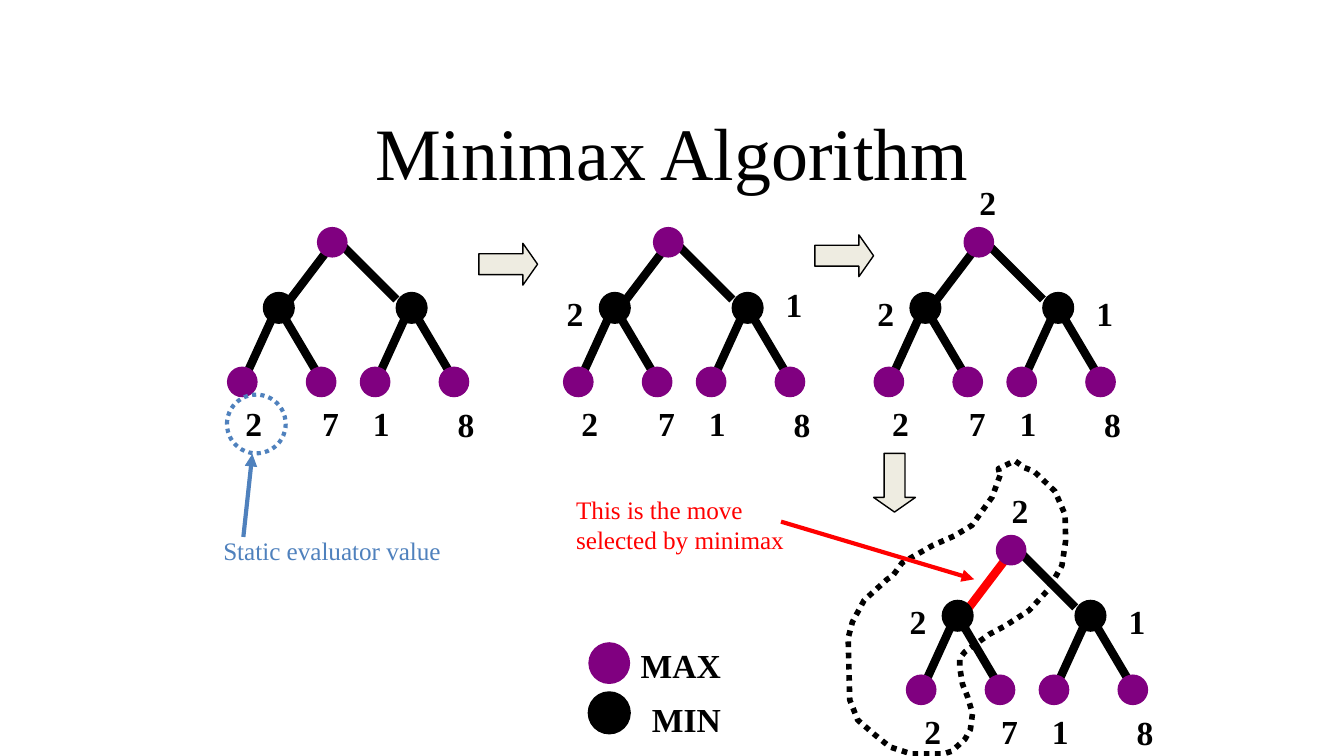
from lxml import etree
from pptx import Presentation, util as u
from pptx.dml.color import RGBColor
from pptx.enum import dml, shapes as s, text as t
from pptx.oxml.ns import qn

BLACK = RGBColor(0x00, 0x00, 0x00)
PURPLE = RGBColor(0x80, 0x00, 0x80)
RED = RGBColor(0xFF, 0x00, 0x00)
BLUE = RGBColor(0x4F, 0x81, 0xBD)
CREAM = RGBColor(0xEE, 0xEC, 0xE1)
FONT = "Times New Roman"
DOT = dml.MSO_LINE.ROUND_DOT
NODE = 0.58
SHIFT = 2.51
LOOP = [
    (2.87, 0.28), (2.72, 0.69), (2.54, 0.94), (2.34, 1.22), (2.01, 1.42),
    (1.6, 1.6), (1.02, 1.93), (0.84, 2.18), (0.74, 2.24), (0.3, 2.64),
    (0.08, 3.05), (0, 3.35), (0.03, 4.52), (0.18, 4.9), (0.48, 5.16),
    (0.79, 5.41), (1.19, 5.54), (1.8, 5.54), (1.96, 5.49), (2.21, 5.26),
    (2.31, 5.08), (2.35, 4.78), (2.26, 4.47), (2.16, 4.22), (2.11, 3.91),
    (2.11, 3.73), (2.21, 3.61), (2.67, 3.28), (2.97, 3.12), (3.42, 2.83),
    (3.78, 2.44), (4.04, 1.98), (4.11, 1.52), (4.1, 1.02), (3.91, 0.58),
    (3.68, 0.36), (3.51, 0.2), (3.33, 0.13), (3.15, 0), (2.84, 0.15),
]


def style(font, size, color, bold=False):
    font.name, font.size, font.bold = FONT, u.Pt(size), bold
    font.color.rgb = color


def write(parts, box, lines, size=18, color=BLACK, bold=True, wrap=False,
          align=t.PP_ALIGN.LEFT):
    frame = parts.add_textbox(*map(u.Cm, box)).text_frame
    frame.word_wrap = wrap
    frame.auto_size = t.MSO_AUTO_SIZE.SHAPE_TO_FIT_TEXT
    frame.text = lines
    for para in frame.paragraphs:
        para.alignment = align
        style(para.font, size, color, bold)


def paint(shape, fill, line=None, width=0.75, dash=None):
    shape.shadow.inherit = False
    if fill is None:
        shape.fill.background()
    else:
        shape.fill.solid()
        shape.fill.fore_color.rgb = fill
    if line is None:
        shape.line.fill.background()
    else:
        shape.line.color.rgb = line
        shape.line.width = u.Pt(width)
        if dash:
            shape.line.dash_style = dash


def disc(parts, left, top, size, fill):
    shape = parts.add_shape(s.MSO_SHAPE.OVAL, *map(u.Cm, (left, top, size, size)))
    paint(shape, fill, BLACK if fill == BLACK else None)


def link(parts, ends, color=BLACK, width=4.5, arrow=False):
    line = parts.add_connector(s.MSO_CONNECTOR.STRAIGHT, *map(u.Cm, ends))
    line.line.color.rgb = color
    line.line.width = u.Pt(width)
    if arrow:
        etree.SubElement(line.line._get_or_add_ln(), qn("a:tailEnd"), type="triangle")
    etree.SubElement(line._element.spPr, qn("a:effectLst"))


def block(slide, left, top, turn=0):
    shape = slide.shapes.add_shape(
        s.MSO_SHAPE.RIGHT_ARROW, *map(u.Cm, (left, top, 1.11, 0.79)))
    shape.adjustments[0], shape.adjustments[1] = 0.5, 0.35
    shape.rotation = turn
    paint(shape, CREAM, BLACK)


def loop(parts, left, top):
    spots = [(u.Cm(left + x), u.Cm(top + y)) for x, y in LOOP]
    pen = parts.build_freeform(*spots[0])
    pen.add_line_segments(spots[1:], close=True)
    paint(pen.convert_to_shape(), None, BLACK, 3, DOT)


def tree(slide, left, top, marks=(), move=BLACK, ring=False):
    parts = slide.shapes.add_group_shape().shapes
    if ring:
        loop(parts, left - 1.09, top - 1.4)

    def edge(x1, y1, x2, y2, color=BLACK):
        link(parts, (left + x1, top + y1, left + x2, top + y2), color)

    edge(1.02, 1.6, 2.06, 0.23, move)
    edge(3.2, 1.37, 2.06, 0.23)
    for dx in (0, SHIFT):
        edge(0.91 + dx, 1.6, 0.33 + dx, 2.87)
        edge(1.02 + dx, 1.6, 1.83 + dx, 2.97)
    disc(parts, left + 1.7, top, NODE, PURPLE)
    for dx in (0, SHIFT):
        disc(parts, left + 0.69 + dx, top + 1.24, NODE, BLACK)
        for x in (0, 1.49):
            disc(parts, left + x + dx, top + 2.64, NODE, PURPLE)

    leaves = [("2", 0.1, 3.2), ("7", 1.55, 3.2), ("1", 2.51, 3.2), ("8", 4.11, 3.22)]
    for mark, x, y in leaves + list(marks):
        write(parts, (left + x, top + y, 0.84, 1.02), mark)


def legend(slide, left, top):
    parts = slide.shapes.add_group_shape().shapes
    rows = [("MAX", PURPLE, 0.08, 0, 0.74, 2.03), ("MIN", BLACK, 1.02, 1.02, 0.95, 1.83)]
    for name, color, dot, row, dx, wide in rows:
        disc(parts, left, top + dot, 0.79, color)
        write(parts, (left + dx, top + row, wide, 1.02), name)


def heading(slide, left, top, wide, high):
    title = slide.shapes.title
    title.left, title.top, title.width, title.height = map(u.Cm, (left, top, wide, high))
    frame = title.text_frame
    frame.text = "Minimax Algorithm"
    frame.vertical_anchor = t.MSO_ANCHOR.MIDDLE
    para = frame.paragraphs[0]
    para.alignment = t.PP_ALIGN.CENTER
    style(para.font, 39.6, BLACK)


def choice(slide, left, top):
    write(slide.shapes, (left, top, 4.5, 1.42),
          "This is the move\nselected by minimax", 13.5, RED, False)
    link(slide.shapes, (left + 4.12, top + 0.64, left + 7.77, top + 1.73), RED, 2.25, True)


def static(slide, left, top):
    ring = slide.shapes.add_shape(
        s.MSO_SHAPE.OVAL, *map(u.Cm, (left + 0.48, top, 1.11, 1.11)))
    paint(ring, None, BLUE, 2.25, DOT)
    write(slide.shapes, (left, top + 2.54, 4.93, 0.84), "Static evaluator value",
          13.5, BLUE, False, True, t.PP_ALIGN.CENTER)
    link(slide.shapes, (left + 0.79, top + 2.69, left + 0.96, top + 1.12), BLUE, 2.25, True)


def main():
    deck = Presentation()
    deck.slide_width, deck.slide_height = u.Cm(25.4), u.Cm(14.29)
    slide = deck.slides.add_slide(deck.slide_layouts[5])
    heading(slide, 1.27, 1.96, 22.86, 1.78)

    low, side, root = ("2", -0.18, 1.12), ("1", 3.96, 1.12), ("2", 1.75, -0.97)
    tree(slide, 4.29, 4.29)
    legend(slide, 11.12, 12.06)
    tree(slide, 10.64, 4.29, [low, ("1", 3.96, 0.95)])
    tree(slide, 16.51, 4.29, [low, side, root])
    tree(slide, 17.12, 10.11, [low, side, root], RED, True)
    choice(slide, 10.64, 9.22)
    static(slide, 3.81, 7.46)
    for left, top, turn in ((9.05, 4.6, 0), (15.4, 4.44, 0), (16.35, 8.73, 90)):
        block(slide, left, top, turn)
    deck.save("out.pptx")


if __name__ == "__main__":
    main()
